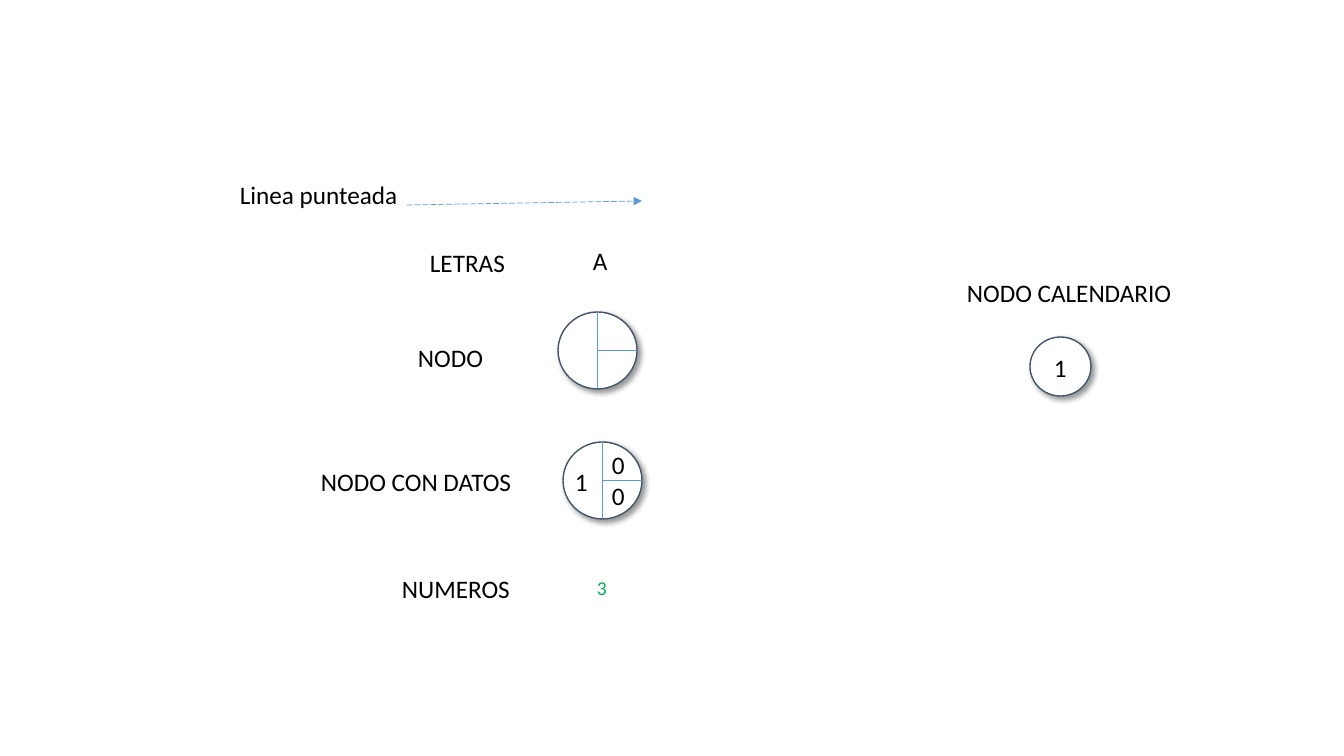
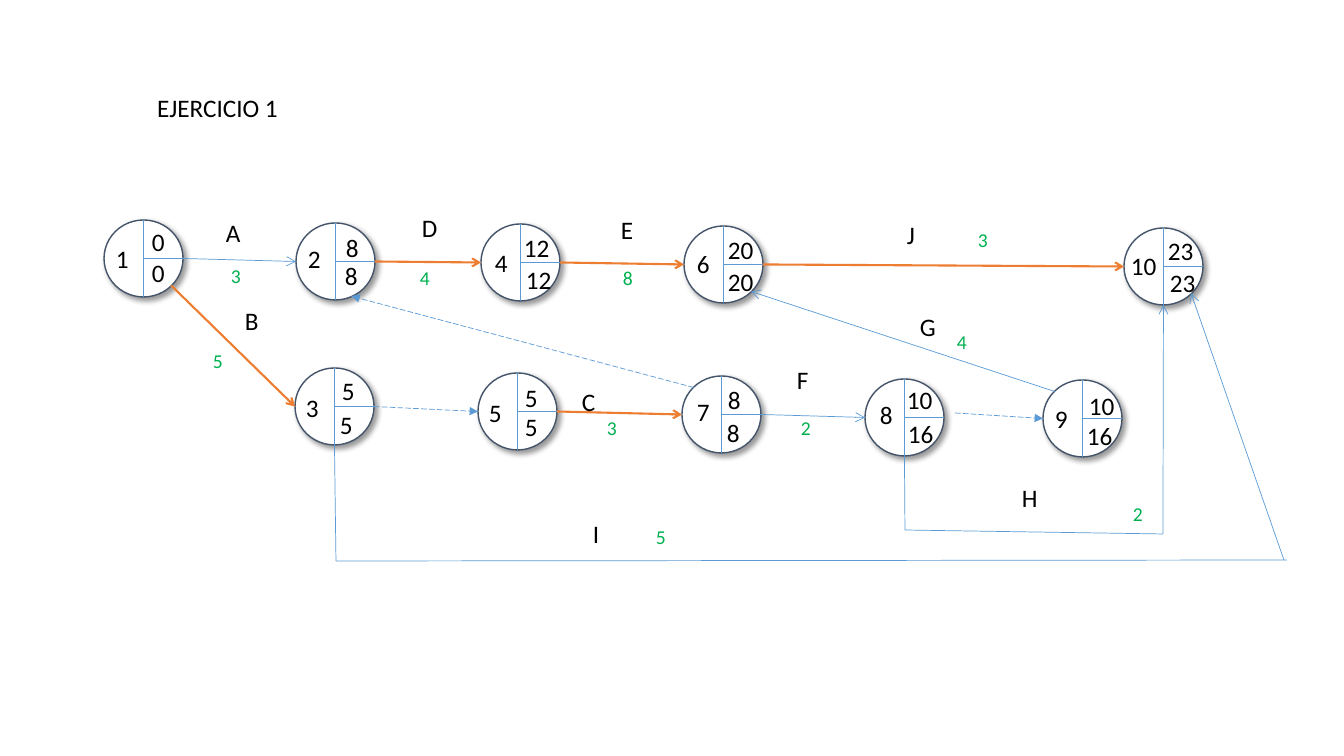
from dataclasses import dataclass
from itertools import pairwise
from typing import NamedTuple

from lxml import etree
from pptx import Presentation
from pptx.dml.color import RGBColor
from pptx.enum.dml import MSO_LINE
from pptx.enum.shapes import MSO_CONNECTOR, MSO_SHAPE
from pptx.enum.text import MSO_ANCHOR, MSO_AUTO_SIZE, PP_ALIGN
from pptx.oxml.ns import qn
from pptx.shapes.base import BaseShape
from pptx.slide import Slide
from pptx.util import Emu, Pt

OVAL = MSO_SHAPE.OVAL
STRAIGHT = MSO_CONNECTOR.STRAIGHT
LONG_DASH = MSO_LINE.LONG_DASH
TOP = MSO_ANCHOR.TOP
FIT_SHAPE = MSO_AUTO_SIZE.SHAPE_TO_FIT_TEXT
LEFT = PP_ALIGN.LEFT

PIXELS_PER_INCH = 100.8
SLIDE_WIDTH, SLIDE_HEIGHT = 1344, 756
NODE_WIDTH, NODE_HEIGHT = 79, 77
TITLE_ONLY_LAYOUT, BLANK_LAYOUT = 5, 6


@dataclass(frozen=True)
class Theme:
    """Colours, type and line weights shared by both slides."""
    font: str = "Calibri"
    text: RGBColor = RGBColor(0x00, 0x00, 0x00)
    duration: RGBColor = RGBColor(0x00, 0xB0, 0x50)
    node_fill: RGBColor = RGBColor(0xFF, 0xFF, 0xFF)
    node_line: RGBColor = RGBColor(0x44, 0x54, 0x6A)
    activity: RGBColor = RGBColor(0x5B, 0x9B, 0xD5)
    critical: RGBColor = RGBColor(0xED, 0x7D, 0x31)
    text_size: float = 18
    duration_size: float = 14
    node_weight: float = 1
    thin: float = 0.5
    thick: float = 1.5


THEME = Theme()


class Point(NamedTuple):
    """A place on the slide, or an offset, in pixels."""
    x: float
    y: float


class Label(NamedTuple):
    """Black text with the left, top and width of its box."""
    text: str
    left: int
    top: int
    width: int


class Duration(NamedTuple):
    """Green number of an activity with its left and top."""
    text: str
    left: int
    top: int


@dataclass(frozen=True)
class Node:
    """Event circle; the three offsets place its texts."""
    left: int
    top: int
    number: str = ""
    early: str = ""
    late: str = ""
    number_offset: Point = Point(2, 18)
    early_offset: Point = Point(36, 3)
    late_offset: Point = Point(35, 35)

    def port(self, across: float, down: float) -> Point:
        """Return the point at a share of the width and height."""
        return Point(self.left + across * NODE_WIDTH, self.top + down * NODE_HEIGHT)

    @property
    def west(self) -> Point:
        """Left end of the circle."""
        return self.port(0, 0.5)

    @property
    def east(self) -> Point:
        """Right end of the circle."""
        return self.port(1, 0.5)

    @property
    def south(self) -> Point:
        """Lowest point of the circle."""
        return self.port(0.5, 1)

    @property
    def northwest(self) -> Point:
        """Upper left point of the circle."""
        return self.port(0.15, 0.15)

    @property
    def southeast(self) -> Point:
        """Lower right point of the circle."""
        return self.port(0.85, 0.85)


@dataclass(frozen=True)
class Route:
    """Line through points, with an optional head at its end."""
    points: tuple[Point, ...]
    head: str = "arrow"
    critical: bool = False
    dashed: bool = False


def activity(*points: Point, head: str = "arrow") -> Route:
    """Return an ordinary activity."""
    return Route(points, head)


def critical(*points: Point) -> Route:
    """Return an activity on the critical path."""
    return Route(points, critical=True)


def dummy(*points: Point) -> Route:
    """Return a dashed dummy activity."""
    return Route(points, "triangle", dashed=True)


def px(pixels: float) -> Emu:
    """Convert pixels to EMU."""
    return Emu(round(pixels * 914400 / PIXELS_PER_INCH))


def write_text(shape: BaseShape, text: str, color: RGBColor, size: float) -> None:
    """Fill a text shape with one unwrapped line."""
    frame = shape.text_frame
    frame.text = text
    frame.word_wrap = False
    frame.auto_size = FIT_SHAPE
    frame.vertical_anchor = TOP
    paragraph = frame.paragraphs[0]
    paragraph.alignment = LEFT
    paragraph.font.name = THEME.font
    paragraph.font.size = Pt(size)
    paragraph.font.color.rgb = color


def draw_label(slide: Slide, label: Label) -> None:
    """Draw a black label."""
    box = slide.shapes.add_textbox(px(label.left), px(label.top), px(label.width), px(40))
    write_text(box, label.text, THEME.text, THEME.text_size)


def draw_duration(slide: Slide, duration: Duration) -> None:
    """Draw a green duration."""
    box = slide.shapes.add_textbox(px(duration.left), px(duration.top), px(30), px(34))
    write_text(box, duration.text, THEME.duration, THEME.duration_size)


def draw_title(slide: Slide, label: Label) -> None:
    """Place and format the title placeholder."""
    title = slide.shapes.title
    title.left, title.top = px(label.left), px(label.top)
    title.width, title.height = px(label.width), px(40)
    write_text(title, label.text, THEME.text, THEME.text_size)


def draw_circle(slide: Slide, left: int, top: int, width: int, height: int) -> None:
    """Draw a white circle with a soft shadow."""
    circle = slide.shapes.add_shape(OVAL, px(left), px(top), px(width), px(height))
    circle.fill.solid()
    circle.fill.fore_color.rgb = THEME.node_fill
    circle.line.color.rgb = THEME.node_line
    circle.line.width = Pt(THEME.node_weight)
    circle.shadow.inherit = False
    effects = circle.element.spPr.find(qn("a:effectLst"))
    shadow = etree.SubElement(effects, qn("a:outerShdw"), blurRad=str(Pt(4)),
                              dist=str(Pt(3)), dir="2700000", algn="tl", rotWithShape="0")
    color = etree.SubElement(shadow, qn("a:srgbClr"), val="000000")
    etree.SubElement(color, qn("a:alpha"), val="40000")


def draw_route(slide: Slide, route: Route) -> None:
    """Draw a route as straight connectors, the head on the last one."""
    for start, end in pairwise(route.points):
        connector = slide.shapes.add_connector(
            STRAIGHT, px(start.x), px(start.y), px(end.x), px(end.y))
        connector.line.color.rgb = THEME.critical if route.critical else THEME.activity
        connector.line.width = Pt(THEME.thick if route.critical else THEME.thin)
        if route.dashed:
            connector.line.dash_style = LONG_DASH
        properties = connector.element.spPr
        if route.head and end == route.points[-1]:
            etree.SubElement(properties.find(qn("a:ln")), qn("a:tailEnd"), type=route.head)
        etree.SubElement(properties, qn("a:effectLst"))


def draw_node(slide: Slide, node: Node) -> None:
    """Draw a circle, its two dividers and its texts."""
    draw_circle(slide, node.left, node.top, NODE_WIDTH, NODE_HEIGHT)
    draw_route(slide, activity(node.port(0.5, 0), node.south, head=""))
    draw_route(slide, activity(node.east, node.port(0.5, 0.5), head=""))
    for text, offset in ((node.number, node.number_offset),
                         (node.early, node.early_offset),
                         (node.late, node.late_offset)):
        if text:
            width = 33 if len(text) == 1 else 46
            draw_label(slide, Label(text, node.left + offset.x, node.top + offset.y, width))


def draw_diagram(slide: Slide, nodes: list[Node], routes: list[Route],
                 labels: list[Label], durations: list[Duration]) -> None:
    """Draw the parts of a diagram from back to front."""
    for node in nodes:
        draw_node(slide, node)
    for route in routes:
        draw_route(slide, route)
    for label in labels:
        draw_label(slide, label)
    for duration in durations:
        draw_duration(slide, duration)


def build_legend(presentation: Presentation) -> None:
    """Build the slide that explains the symbols."""
    slide = presentation.slides.add_slide(presentation.slide_layouts[BLANK_LAYOUT])
    draw_circle(slide, 1030, 337, 61, 59)
    nodes = [Node(558, 312),
             Node(563, 442, "1", "0", "0", Point(2, 19), Point(39, 2), Point(39, 33))]
    labels = [
        Label("Linea punteada", 230, 174, 180), Label("LETRAS", 420, 242, 96),
        Label("A", 583, 240, 35), Label("NODO", 408, 337, 86),
        Label("NODO CON DATOS", 311, 461, 213), Label("NUMEROS", 392, 568, 129),
        Label("NODO CALENDARIO", 957, 272, 227), Label("1", 1044, 347, 33),
    ]
    draw_diagram(slide, nodes, [dummy(Point(407, 205), Point(642, 201))], labels,
                 [Duration("3", 587, 571)])


def build_exercise(presentation: Presentation) -> None:
    """Build the activity network of the exercise."""
    slide = presentation.slides.add_slide(presentation.slide_layouts[TITLE_ONLY_LAYOUT])
    draw_title(slide, Label("EJERCICIO 1", 147, 87, 142))
    nodes = [
        Node(104, 220, "1", "0", "0", Point(2, 18), Point(38, 1), Point(38, 32)),
        Node(296, 223, "2", "8", "8", Point(2, 15), Point(40, 4), Point(39, 32)),
        Node(295, 368, "3", "5", "5", Point(1, 19), Point(37, 2), Point(35, 36)),
        Node(481, 224, "4", "12", "12", Point(4, 18), Point(33, 3)),
        Node(478, 373, "5", "5", "5", Point(1, 19), Point(37, 4), Point(37, 33)),
        Node(684, 226, "6", "20", "20", Point(3, 17), Point(34, 3), Point(34, 35)),
        Node(682, 376, "7", "8", "8", Point(5, 15), late_offset=Point(35, 36)),
        Node(865, 379, "8", "10", "16", Point(5, 15), Point(32, 0), Point(33, 34)),
        Node(1043, 380, "9", "10", "16", early_offset=Point(36, 5), late_offset=Point(34, 35)),
        Node(1124, 228, "10", "23", "23", Point(-3, 17), Point(34, 2), Point(36, 34)),
    ]
    n1, n2, n3, n4, n5, n6, n7, n8, n9, n10 = nodes
    routes = [
        activity(n1.east, n2.west), critical(n1.southeast, n3.west),
        critical(n2.east, n4.west), critical(n4.east, n6.west),
        critical(n6.east, n10.west), critical(n5.east, n7.west),
        activity(n7.east, n8.west), activity(n9.northwest, n6.southeast),
        activity(n8.south, Point(905, 530), Point(1163, 534), n10.south),
        activity(n3.south, Point(336, 561), Point(1287, 560), head=""),
        activity(Point(1284, 560), n10.southeast),
        dummy(n7.northwest, n2.port(0.7, 0.95)), dummy(n3.east, n5.west),
        dummy(Point(955, 413), n9.west),
    ]
    labels = [
        Label("A", 216, 212, 35), Label("B", 235, 300, 34), Label("C", 572, 381, 35),
        Label("D", 412, 207, 36), Label("E", 611, 209, 32), Label("F", 787, 359, 32),
        Label("G", 910, 306, 36), Label("H", 1012, 477, 36), Label("I", 583, 513, 27),
        Label("J", 897, 214, 28),
    ]
    durations = [
        Duration("3", 221, 259), Duration("5", 203, 344), Duration("3", 597, 411),
        Duration("4", 410, 261), Duration("8", 613, 261), Duration("2", 791, 411),
        Duration("4", 947, 325), Duration("2", 1123, 497), Duration("5", 646, 520),
        Duration("3", 968, 223),
    ]
    draw_diagram(slide, nodes, routes, labels, durations)


def main() -> None:
    """Build and save the presentation."""
    presentation = Presentation()
    presentation.slide_width = px(SLIDE_WIDTH)
    presentation.slide_height = px(SLIDE_HEIGHT)
    build_legend(presentation)
    build_exercise(presentation)
    presentation.save("out.pptx")


main()
